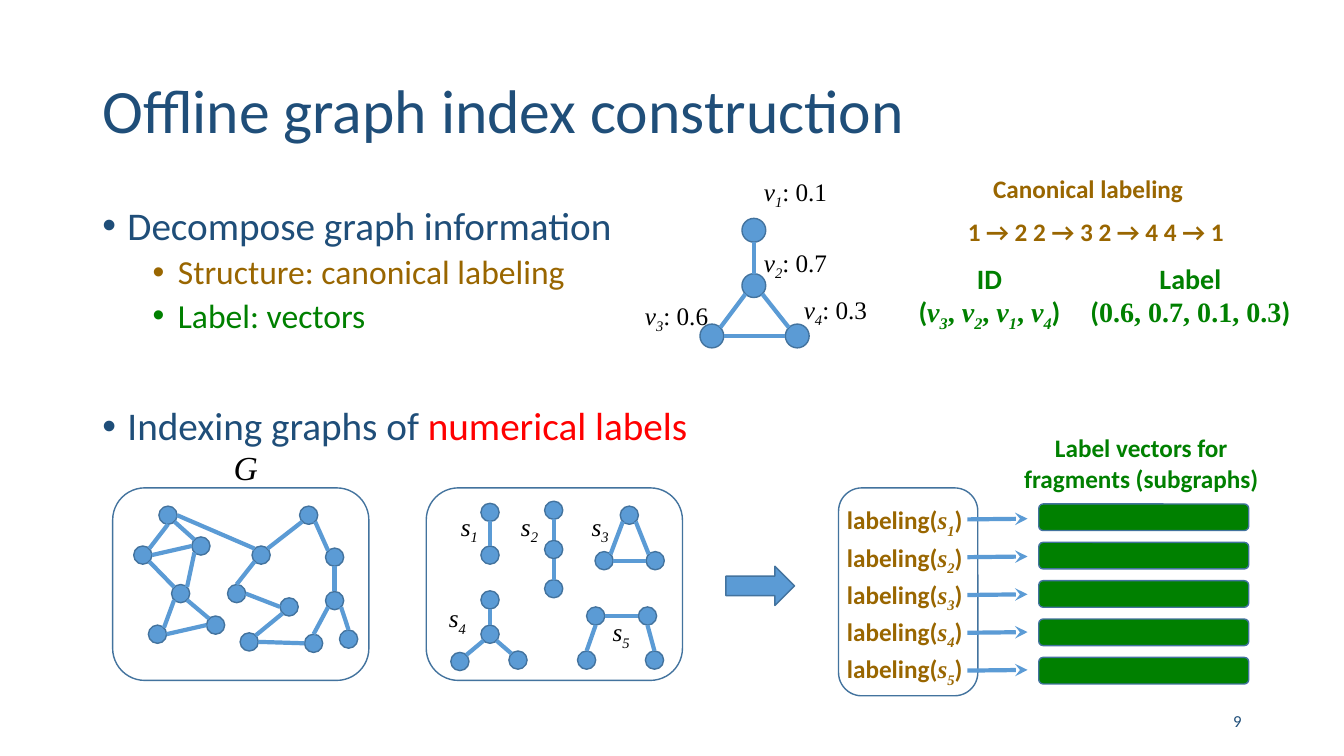
from pptx import Presentation
from pptx.dml.color import RGBColor
from pptx.enum.shapes import MSO_CONNECTOR as CONN, MSO_SHAPE as SHAPE
from pptx.enum.text import MSO_ANCHOR as ANCHOR, PP_ALIGN as ALIGN
from pptx.oxml.ns import qn
from pptx.util import Pt
from lxml.etree import SubElement

NAVY = RGBColor(0x1F, 0x4E, 0x79)
BLUE = RGBColor(0x5B, 0x9B, 0xD5)
OUTLINE = RGBColor(0x43, 0x73, 0x9E)
BROWN = RGBColor(0x99, 0x66, 0x00)
GREEN = RGBColor(0x00, 0x80, 0x00)
RED = RGBColor(0xFF, 0x00, 0x00)
BLACK = RGBColor(0x00, 0x00, 0x00)
SANS, SERIF = "Calibri", "Times New Roman"

# Points on a node's rim, as multiples of its radius
D = 0.71
SITES = {"N": (0, -1), "S": (0, 1), "W": (-1, 0), "E": (1, 0),
         "NW": (-D, -D), "NE": (D, -D), "SW": (-D, D), "SE": (D, D)}


def run(text, font=SANS, italic=False, sub=False, color=None):
    return text, font, italic, sub, color


def var(name):
    """An italic letter followed by its subscript."""
    return [run(name[0], SERIF, True), run(name[1:], SERIF, True, True)]


class Deck:
    def __init__(self, prs):
        self.s = prs.slides.add_slide(prs.slide_layouts[6])

    def fill_runs(self, p, runs, size, color, bold=False):
        for text, font, italic, sub, own_color in runs:
            r = p.add_run()
            r.text = text
            f = r.font
            f.name, f.size, f.bold, f.italic = font, Pt(size), bold, italic
            f.color.rgb = own_color or color
            if sub:
                f._element.set("baseline", "-25000")

    def text(self, x, y, w, h, paras, size=18, color=BLACK, bold=False,
             align=ALIGN.CENTER, anchor=ANCHOR.TOP, wrap=False):
        sp = self.s.shapes.add_textbox(Pt(x), Pt(y), Pt(w), Pt(h))
        tf = sp.text_frame
        tf.word_wrap, tf.vertical_anchor = wrap, anchor
        for i, runs in enumerate(paras):
            p = tf.add_paragraph() if i else tf.paragraphs[0]
            p.alignment = align
            self.fill_runs(p, runs, size, color, bold)
        return tf

    def bullets(self, x, y, w, h, items):
        tf = self.text(x, y, w, h, [], wrap=True)
        for i, (runs, size, color, indent, before) in enumerate(items):
            p = tf.add_paragraph() if i else tf.paragraphs[0]
            p.line_spacing, p.space_before = 0.9, Pt(before)
            self.fill_runs(p, runs, size, color)
            pPr = p._p.get_or_add_pPr()
            pPr.set("marL", str(Pt(indent)))
            pPr.set("indent", str(Pt(-18)))
            SubElement(pPr, qn("a:buFont")).set("typeface", "Arial")
            SubElement(pPr, qn("a:buChar")).set("char", "•")

    def shape(self, kind, x, y, w, h, fill=None):
        sp = self.s.shapes.add_shape(kind, Pt(x), Pt(y), Pt(w), Pt(h))
        sp.shadow.inherit = False
        if fill is None:
            sp.fill.background()
        else:
            sp.fill.solid()
            sp.fill.fore_color.rgb = fill
        sp.line.color.rgb, sp.line.width = OUTLINE, Pt(1)

    def line(self, x1, y1, x2, y2, arrow=False):
        c = self.s.shapes.add_connector(CONN.STRAIGHT, Pt(x1), Pt(y1), Pt(x2), Pt(y2))
        c.line.color.rgb, c.line.width = BLUE, Pt(3)
        if arrow:
            SubElement(c.line._get_or_add_ln(), qn("a:tailEnd")).set("type", "stealth")
        SubElement(c._element.spPr, qn("a:effectLst"))

    def graph(self, nodes, edges, size=13):
        """Nodes are centres; an edge "0S-1N" joins rim points of two nodes."""
        radius = size / 2
        for x, y in nodes:
            self.shape(SHAPE.OVAL, x - radius, y - radius, size, size, BLUE)
        for edge in edges.split():
            ends = []
            for end in edge.split("-"):
                site = end.lstrip("0123456789")
                x, y = nodes[int(end.removesuffix(site))]
                dx, dy = SITES[site]
                ends += [x + dx * radius, y + dy * radius]
            self.line(*ends)


prs = Presentation()
prs.slide_width, prs.slide_height = Pt(960), Pt(540)
d = Deck(prs)

# Title, bullets and page number
title = d.text(66, 29, 828, 104, [[run("Offline graph index construction")]], 44, NAVY,
               align=ALIGN.LEFT, anchor=ANCHOR.MIDDLE, wrap=True)
title.paragraphs[0].line_spacing = 0.9
d.bullets(66, 144, 828, 343, [
    ([run("Decompose graph information")], 28, NAVY, 18, 10),
    ([run("Structure: canonical labeling")], 24, BROWN, 54, 5),
    ([run("Label: vectors")], 24, GREEN, 54, 5),
    ([run("Indexing graphs of "), run("numerical labels", color=RED)], 28, NAVY, 18, 51),
])
d.text(678, 500.5, 216, 29, [[run("9")]], 12, NAVY, align=ALIGN.RIGHT, anchor=ANCHOR.MIDDLE)

# Labeled example graph
d.graph([(538.5, 164.5), (538.5, 204), (508.5, 240), (569.5, 240)],
        "0S-1N 1SW-2NE 2E-3W 1SE-3NW", 17)
for name, value, x, y in [("v1", "0.1", 538, 122.5), ("v2", "0.7", 538, 173),
                          ("v3", "0.6", 453, 211), ("v4", "0.3", 566.5, 206.5)]:
    d.text(x, y, 60.5, 29, [var(name) + [run(": " + value, SERIF)]])

# Canonical labeling, ID and label vector
d.text(702, 120, 150.5, 29, [[run("Canonical labeling")]], color=BROWN, bold=True)
d.text(679.5, 151, 206.5, 29, [[run("1 → 2 2 → 3 2 → 4 4 → 1")]], color=BROWN, bold=True)
comma = [run(", ", SERIF)]
vertex_order = var("v3") + comma + var("v2") + comma + var("v1") + comma + var("v4")
label_vector = [run("0.6, 0.7, 0.1, 0.3", SERIF)]
for heading, entries, x, w in [("ID", vertex_order, 638, 137.5),
                               ("Label", label_vector, 769, 162.5)]:
    d.text(x, 183, w, 55.5, [[run(heading)], [run("(")] + entries + [run(")")]],
           20, GREEN, True)

# Graph G
for x in (80.5, 304.5):
    d.shape(SHAPE.ROUNDED_RECTANGLE, x, 348.5, 183, 137.5)
d.text(139.5, 315.5, 72, 36, [[run("G", SERIF, True)]], 24)
d.graph([(120, 368), (102, 396.5), (143.5, 390), (129, 424), (112.5, 453),
         (154, 446.5), (220.5, 368), (186.5, 396.5), (239, 398), (169, 424),
         (206.5, 433.5), (178, 458.5), (224, 459.5), (249, 456.5), (239, 429)],
        "0S-1NE 0SE-2NW 1E-2W 1SE-3NW 2SW-3NE 3SW-4NE 3SE-5NW 4E-5W 0E-7NW "
        "6SW-7NE 6SE-8NW 7SW-9N 9E-10W 10SW-11NE 11E-12W 8S-14N 14SW-12N 14SE-13N")

# Fragments s1 to s5
fragments = [
    ("s1", 317.5, 361.5, [(350, 366), (350, 396.5)], "0S-1N"),
    ("s2", 360.5, 361.5, [(395.5, 364.5), (395.5, 392.5), (395.5, 420.5)], "0S-1N 1S-2N"),
    ("s3", 411, 361.5, [(449.5, 368), (431.5, 400.5), (468, 400.5)],
     "0SW-1NE 0SE-2NW 1E-2W"),
    ("s4", 309, 427, [(350, 428.5), (350, 453), (328.5, 472.5), (370, 471.5)],
     "0S-1N 1SW-2NE 1SE-3NW"),
    ("s5", 426, 437, [(419, 471.5), (425.5, 440), (462.5, 440), (467.5, 471.5)],
     "1S-0N 1E-2W 2S-3N"),
]
for name, x, y, nodes, edges in fragments:
    d.graph(nodes, edges)
    d.text(x, y, 35.5, 29, [var(name)])

# Index: labeling of each fragment and its label vectors
d.shape(SHAPE.RIGHT_ARROW, 518.5, 404.5, 49, 28, BLUE)
d.shape(SHAPE.ROUNDED_RECTANGLE, 599, 348.5, 99.5, 148.5)
for i, (name, *_) in enumerate(fragments):
    d.text(585, 357 + 26.6 * i, 122.5, 29.5,
           [[run("labeling(")] + var(name) + [run(")")]], color=BROWN, bold=True)
    d.shape(SHAPE.ROUNDED_RECTANGLE, 742, 360 + 27.4 * i, 150, 19, GREEN)
    d.line(691, 371 + 27 * i, 734, 370.5 + 27 * i, arrow=True)
d.text(717, 305.5, 196.5, 51, [[run("Label vectors for fragments (subgraphs)")]],
       color=GREEN, bold=True, wrap=True)

prs.save("out.pptx")
